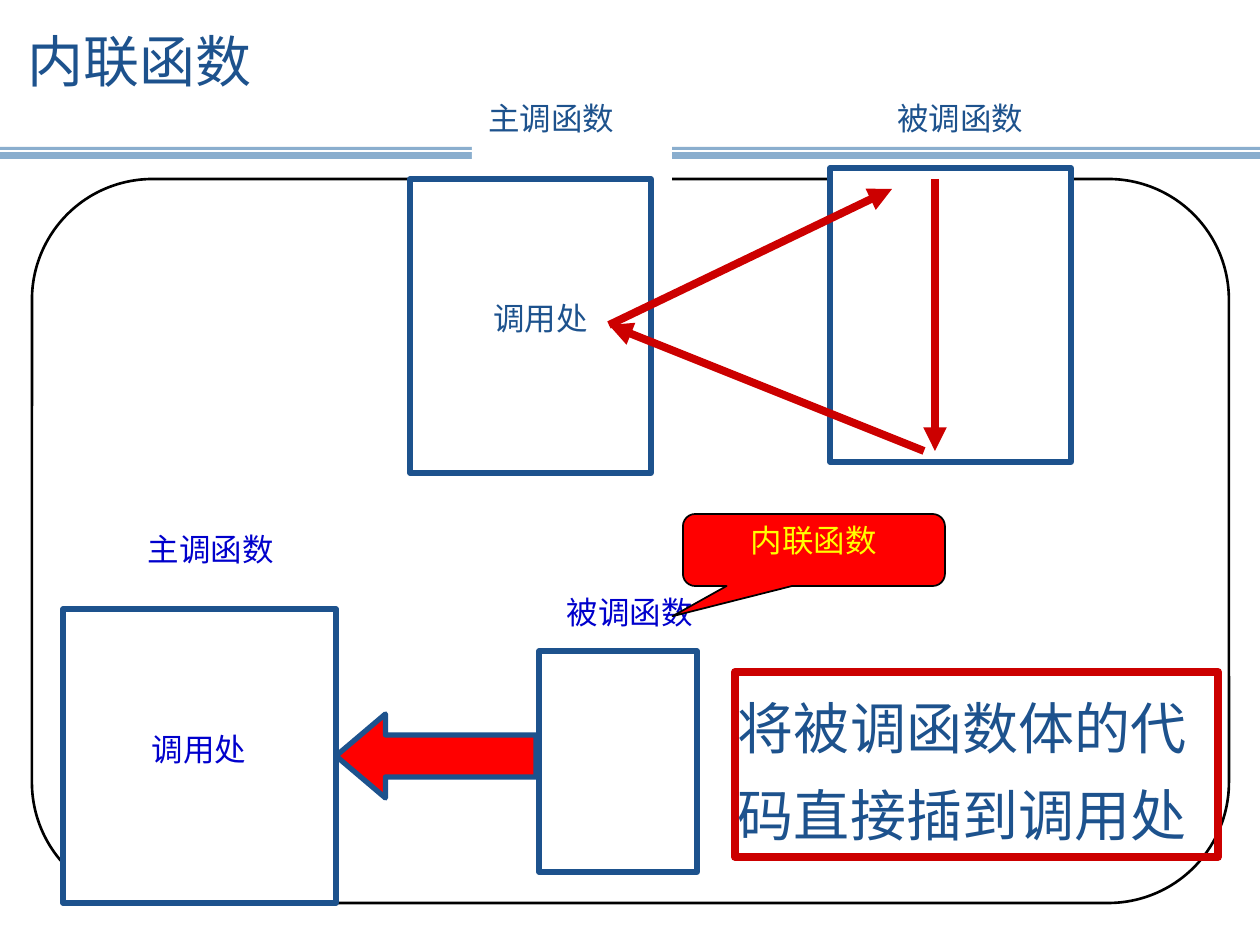
from dataclasses import dataclass
from typing import Optional

from lxml.etree import SubElement
from pptx import Presentation
from pptx.dml.color import RGBColor
from pptx.enum.shapes import MSO_CONNECTOR, MSO_SHAPE
from pptx.enum.text import MSO_ANCHOR, PP_ALIGN
from pptx.oxml.ns import qn
from pptx.util import Emu, Pt

PIXEL = 914400 / 126
FONT = "Arial"
WHITE = RGBColor(0xFF, 0xFF, 0xFF)
BLACK = RGBColor(0x00, 0x00, 0x00)
BAND_BLUE = RGBColor(0x8A, 0xAE, 0xCE)
DARK_BLUE = RGBColor(0x1D, 0x52, 0x8D)
LABEL_BLUE = RGBColor(0x00, 0x00, 0xCC)
DARK_RED = RGBColor(0xCC, 0x00, 0x00)
RED = RGBColor(0xFF, 0x00, 0x00)
YELLOW = RGBColor(0xFF, 0xFF, 0x00)


@dataclass(frozen=True)
class Area:
    left: int
    top: int
    width: int
    height: int


@dataclass(frozen=True)
class Block:
    area: Area
    kind: MSO_SHAPE = MSO_SHAPE.RECTANGLE
    fill: Optional[RGBColor] = WHITE
    line: Optional[RGBColor] = DARK_BLUE
    weight: float = 3
    adjustments: tuple[float, ...] = ()


@dataclass(frozen=True)
class Label:
    text: str
    color: RGBColor = DARK_BLUE
    size: int = 18
    spacing: float = 1.1
    align: PP_ALIGN = PP_ALIGN.CENTER
    inset_x: int = 3
    inset_y: int = 1


@dataclass(frozen=True)
class Segment:
    start: tuple[int, int]
    end: tuple[int, int]
    color: RGBColor = DARK_RED
    weight: float = 4.5
    arrow: bool = True


def px(length: int) -> Emu:
    return Emu(round(length * PIXEL))


def place(area: Area) -> tuple[Emu, Emu, Emu, Emu]:
    return px(area.left), px(area.top), px(area.width), px(area.height)


def draw_block(shapes, block: Block):
    shape = shapes.add_shape(block.kind, *place(block.area))
    shape.shadow.inherit = False
    for index, value in enumerate(block.adjustments):
        shape.adjustments[index] = value
    if block.fill is None:
        shape.fill.background()
    else:
        shape.fill.solid()
        shape.fill.fore_color.rgb = block.fill
    if block.line is None:
        shape.line.fill.background()
    else:
        shape.line.color.rgb = block.line
        shape.line.width = Pt(block.weight)
    return shape


def write_text(shape, label: Label) -> None:
    frame = shape.text_frame
    frame.word_wrap = True
    frame.vertical_anchor = MSO_ANCHOR.TOP
    frame.margin_left = frame.margin_right = px(label.inset_x)
    frame.margin_top = frame.margin_bottom = px(label.inset_y)
    paragraph = frame.paragraphs[0]
    paragraph.alignment = label.align
    paragraph.line_spacing = label.spacing
    run = paragraph.add_run()
    run.text = label.text
    run.font.name = FONT
    run.font.size = Pt(label.size)
    run.font.color.rgb = label.color


def draw_label(shapes, area: Area, label: Label) -> None:
    write_text(shapes.add_textbox(*place(area)), label)


def draw_segment(shapes, segment: Segment) -> None:
    connector = shapes.add_connector(
        MSO_CONNECTOR.STRAIGHT, *map(px, segment.start + segment.end))
    connector.line.color.rgb = segment.color
    connector.line.width = Pt(segment.weight)
    properties = connector._element.spPr
    if segment.arrow:
        SubElement(properties.find(qn("a:ln")), qn("a:tailEnd"), type="triangle")
    SubElement(properties, qn("a:effectLst"))


def draw_background(shapes) -> None:
    draw_block(shapes, Block(Area(32, 179, 1197, 724),
                             MSO_SHAPE.FLOWCHART_ALTERNATE_PROCESS,
                             fill=None, line=BLACK, weight=1.5))
    draw_block(shapes, Block(Area(0, 147, 1260, 12), fill=BAND_BLUE, line=None))
    draw_segment(shapes, Segment((0, 151), (1260, 151), WHITE, 0.75, arrow=False))


def draw_normal_call(shapes) -> None:
    draw_block(shapes, Block(Area(472, 105, 200, 305), line=None))
    draw_block(shapes, Block(Area(410, 179, 241, 294)))
    draw_label(shapes, Area(441, 94, 220, 68), Label("主调函数"))
    draw_label(shapes, Area(462, 294, 157, 68), Label("调用处"))
    draw_block(shapes, Block(Area(830, 168, 241, 294)))
    draw_label(shapes, Area(850, 94, 220, 68), Label("被调函数"))
    call_site = (609, 325)
    for segment in (
        Segment((935, 179), (935, 451)),
        Segment((924, 451), call_site),
        Segment(call_site, (892, 189)),
    ):
        draw_segment(shapes, segment)


def draw_inline_call(shapes) -> None:
    caller = shapes.add_group_shape().shapes
    draw_block(caller, Block(Area(63, 609, 273, 294)))
    draw_label(caller, Area(98, 525, 226, 68), Label("主调函数", LABEL_BLUE))
    draw_label(caller, Area(122, 725, 154, 68), Label("调用处", LABEL_BLUE))

    callee = shapes.add_group_shape().shapes
    draw_block(callee, Block(Area(539, 651, 158, 221)))
    draw_label(callee, Area(514, 588, 231, 68), Label("被调函数", LABEL_BLUE))

    draw_block(shapes, Block(Area(336, 714, 200, 84), MSO_SHAPE.LEFT_ARROW,
                             fill=RED, adjustments=(0.5, 0.59)))
    note = draw_block(shapes, Block(Area(735, 672, 483, 185), fill=None,
                                    line=DARK_RED, weight=4.5))
    write_text(note, Label("将被调函数体的代码直接插到调用处", size=32,
                           spacing=1.3, align=PP_ALIGN.LEFT))
    callout = draw_block(shapes, Block(Area(683, 514, 262, 72),
                                       MSO_SHAPE.ROUNDED_RECTANGULAR_CALLOUT,
                                       fill=RED, line=BLACK, weight=1,
                                       adjustments=(-0.54, 0.92, 0.17)))
    write_text(callout, Label("内联函数", YELLOW, inset_x=0, inset_y=0))


def main() -> None:
    presentation = Presentation()
    presentation.slide_width = px(1260)
    presentation.slide_height = px(945)
    slide = presentation.slides.add_slide(presentation.slide_layouts[6])
    draw_background(slide.shapes)
    draw_normal_call(slide.shapes)
    draw_label(slide.shapes, Area(15, 21, 262, 79),
               Label("内联函数", size=32, spacing=1.0, align=PP_ALIGN.LEFT,
                     inset_x=13, inset_y=6))
    draw_inline_call(slide.shapes)
    presentation.save("out.pptx")


if __name__ == "__main__":
    main()
